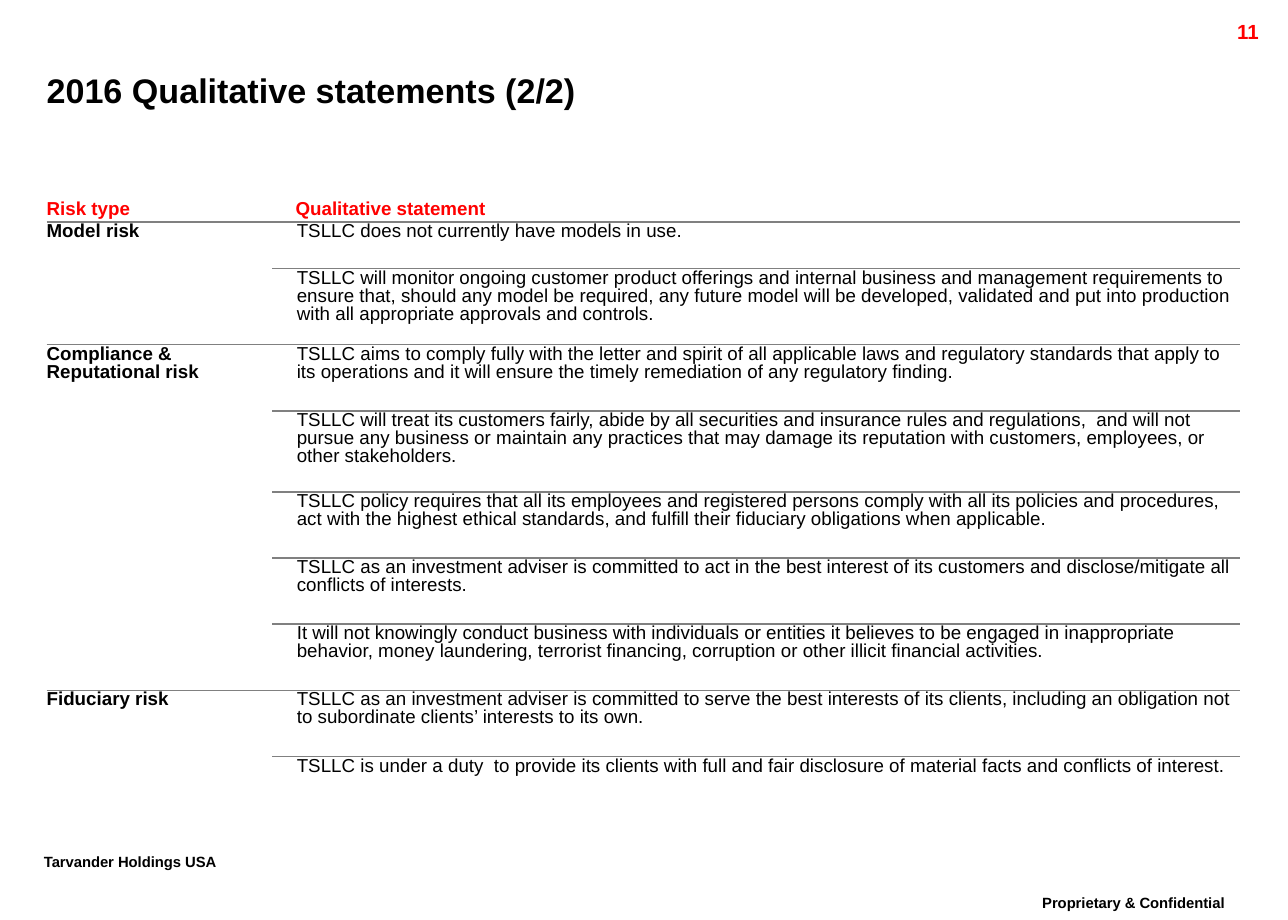
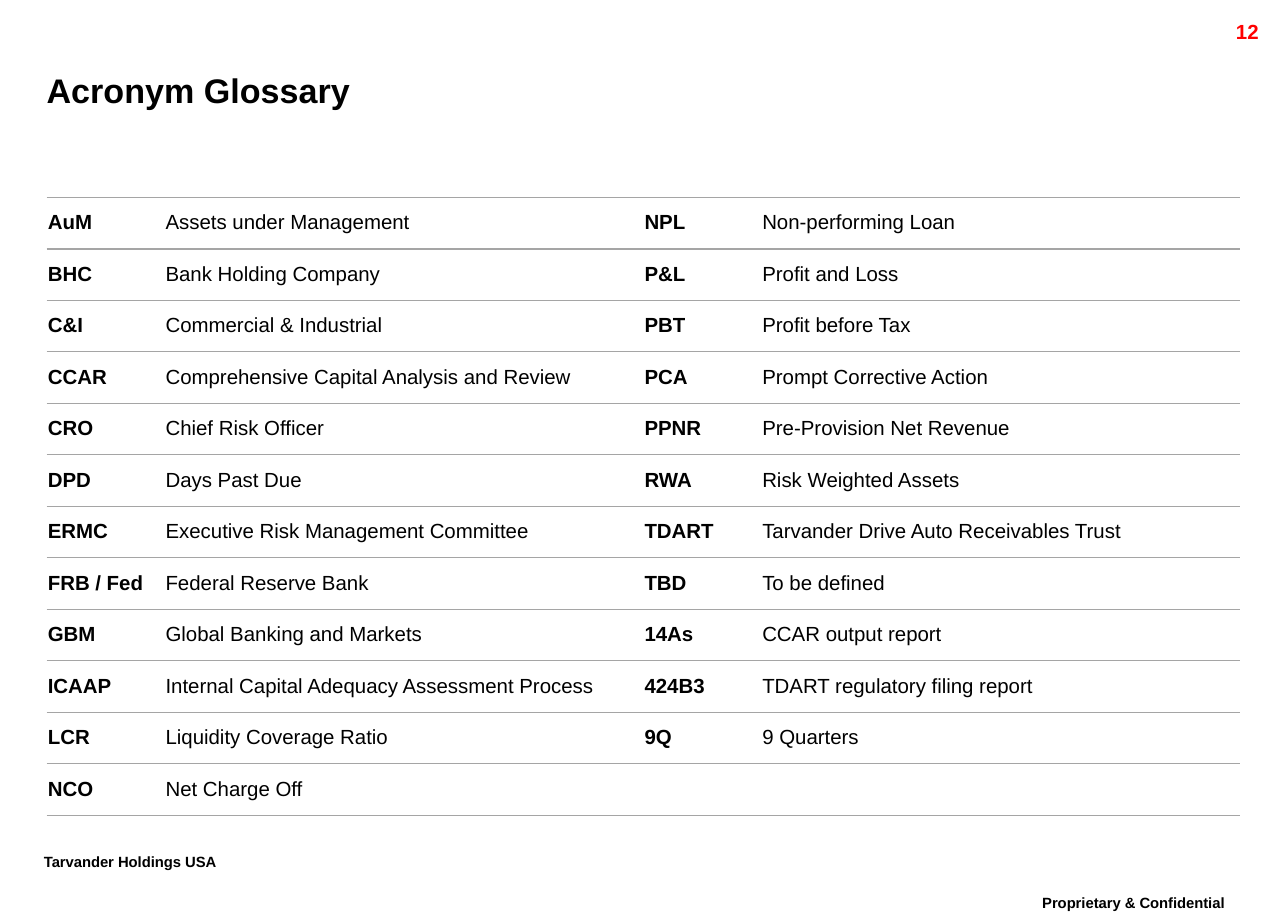
from lxml.etree import SubElement
from pptx import Presentation
from pptx.dml.color import RGBColor as RGB
from pptx.enum.text import MSO_ANCHOR as Anchor, PP_ALIGN as Align
from pptx.oxml import parse_xml
from pptx.oxml.ns import nsdecls, qn
from pptx.util import Inches, Pt

# Grid: 105 columns by 75 rows, each a tenth of an inch
UNIT = Inches(0.1)
COLS, ROWS = 105, 75
FONT = "Arial"
COLORS = {"text": "000000", "accent": "FF0000", "back": "FFFFFF",
          "rule": "808080", "thin": "A5A5A5"}
NO_STYLE = "{2D5ABB26-0587-4C30-8999-92F81FD0307C}"
LEADING = 0.86

# Boxes: left, top, width, height in grid units
TITLE = (3.8, 4.9, 94.8, 4.8)
NUMBER = (93.6, 1.1, 10, 2.4)
OWNER = (2.6, 69.1, 24, 3.5)
NOTICE = (81.5, 72.5, 21.8, 3.5)
TABLE = (3.8, 16.1, 97.3)

STATEMENTS = [
    ("Model risk", [
        (3.8, "TSLLC does not currently have models in use."),
        (6.2, "TSLLC will monitor ongoing customer product offerings and internal business and "
              "management requirements to ensure that, should any model be required, any future "
              "model will be developed, validated and put into production with all appropriate "
              "approvals and controls."),
    ]),
    ("Compliance & Reputational risk", [
        (5.4, "TSLLC aims to comply fully with the letter and spirit of all applicable laws and "
              "regulatory standards that apply to its operations and it will ensure the timely "
              "remediation of any regulatory finding."),
        (6.6, "TSLLC will treat its customers fairly, abide by all securities and insurance rules "
              "and regulations,  and will not pursue any business or maintain any practices that "
              "may damage its reputation with customers, employees, or other stakeholders."),
        (5.4, "TSLLC policy requires that all its employees and registered persons comply with all "
              "its policies and procedures, act with the highest ethical standards, and fulfill "
              "their fiduciary obligations when applicable."),
        (5.4, "TSLLC as an investment adviser is committed to act in the best interest of its "
              "customers and disclose/mitigate all conflicts of interests."),
        (5.4, "It will not knowingly conduct business with individuals or entities it believes to "
              "be engaged in inappropriate behavior, money laundering, terrorist financing, "
              "corruption or other illicit financial activities."),
    ]),
    ("Fiduciary risk", [
        (5.4, "TSLLC as an investment adviser is committed to serve the best interests of its "
              "clients, including an obligation not to subordinate clients’ interests to its own."),
        (5.4, "TSLLC is under a duty  to provide its clients with full and fair disclosure of "
              "material facts and conflicts of interest."),
    ]),
]

GLOSSARY = [
    ("AuM", "Assets under Management", "NPL", "Non-performing Loan"),
    ("BHC", "Bank Holding Company", "P&L", "Profit and Loss"),
    ("C&I", "Commercial & Industrial", "PBT", "Profit before Tax"),
    ("CCAR", "Comprehensive Capital Analysis and Review", "PCA", "Prompt Corrective Action"),
    ("CRO", "Chief Risk Officer", "PPNR", "Pre-Provision Net Revenue"),
    ("DPD", "Days Past Due", "RWA", "Risk Weighted Assets"),
    ("ERMC", "Executive Risk Management Committee",
     "TDART", "Tarvander Drive Auto Receivables Trust"),
    ("FRB / Fed", "Federal Reserve Bank", "TBD", "To be defined"),
    ("GBM", "Global Banking and Markets", "14As", "CCAR output report"),
    ("ICAAP", "Internal Capital Adequacy Assessment Process",
     "424B3", "TDART regulatory filing report"),
    ("LCR", "Liquidity Coverage Ratio", "9Q", "9 Quarters"),
    ("NCO", "Net Charge Off", "", ""),
]


def units(n):
    return round(n * UNIT)


def style(frame, text, size, color="text", bold=True, align=Align.LEFT, leading=None):
    """Fill a text frame with one paragraph in the house font."""
    frame.text = text
    frame.word_wrap = True
    para = frame.paragraphs[0]
    para.alignment = align
    if leading:
        para.line_spacing = leading
    font = para.runs[0].font if para.runs else para.font
    font.name, font.size, font.bold = FONT, Pt(size), bold
    font.color.rgb = RGB.from_string(COLORS[color])
    return para


def label(slide, box, text, size, **look):
    frame = slide.shapes.add_textbox(*map(units, box)).text_frame
    return frame, style(frame, text, size, **look)


def footer(slide, box, text, align):
    """Small raised line of text."""
    _, para = label(slide, box, text, 15, align=align, leading=LEADING)
    para.runs[0]._r.get_or_add_rPr().set("baseline", "30000")


def page(deck, title, number):
    """Blank slide with the shared title, page number and footers."""
    slide = deck.slides.add_slide(deck.slide_layouts[6])
    fill = slide.background.fill
    fill.solid()
    fill.fore_color.rgb = RGB.from_string(COLORS["back"])
    footer(slide, NOTICE, "Proprietary & Confidential", Align.CENTER)
    footer(slide, OWNER, "Tarvander Holdings USA", Align.LEFT)
    label(slide, NUMBER, str(number), 12, color="accent", align=Align.RIGHT)
    frame, _ = label(slide, TITLE, title, 20)
    frame.margin_left = frame.margin_right = frame.margin_top = frame.margin_bottom = 0
    frame.vertical_anchor = Anchor.MIDDLE
    return slide


def grid(slide, box, widths, heights):
    """Plain table whose columns and rows are given in grid units."""
    left, top, width = box
    shape = slide.shapes.add_table(len(heights), len(widths), units(left), units(top),
                                   units(width), units(sum(heights)))
    table = shape.table
    table.first_row = table.horz_banding = False
    table._tbl.tblPr.find(qn("a:tableStyleId")).text = NO_STYLE
    for col, size in zip(table.columns, widths):
        col.width = units(size)
    for row, size in zip(table.rows, heights):
        row.height = units(size)
    return table


def write(cell, text, size, indent, anchor=Anchor.TOP, **look):
    cell.margin_left, cell.margin_bottom = units(indent), 0
    cell.margin_right = cell.margin_top = units(0.1)
    cell.vertical_anchor = anchor
    cell.fill.background()
    style(cell.text_frame, text, size, leading=LEADING, **look)


def rule(cell, side, color, width):
    """Draw one border of a cell; borders come before the fill."""
    line = parse_xml(f'<a:ln{side} {nsdecls("a")} w="{Pt(width)}"/>')
    SubElement(SubElement(line, qn("a:solidFill")), qn("a:srgbClr"), val=COLORS[color])
    cell._tc.get_or_add_tcPr().insert(0, line)


def risks(slide, box):
    """Risk types on the left, each merged beside its statements."""
    heights = [2] + [size for _, lines in STATEMENTS for size, _ in lines]
    table = grid(slide, box, (18.4, box[2] - 18.4), heights)
    for col, (head, indent) in enumerate((("Risk type", 0), ("Qualitative statement", 1.9))):
        cell = table.cell(0, col)
        write(cell, head, 11, indent, Anchor.MIDDLE, color="accent")
        rule(cell, "B", "rule", 1)
    row = 1
    for kind, lines in STATEMENTS:
        first = table.cell(row, 0)
        first.merge(table.cell(row + len(lines) - 1, 0))
        write(first, kind, 11, 0)
        rule(first, "T", "rule", 1)
        for _, text in lines:
            cell = table.cell(row, 1)
            write(cell, text, 11, 2, bold=False)
            rule(cell, "T", "rule", 1)
            row += 1


def terms(slide, box):
    """Two pairs of acronym and meaning in each row."""
    pair = (9.6, box[2] / 2 - 9.6)
    table = grid(slide, box, pair * 2, [4.2] * len(GLOSSARY))
    for row, words in enumerate(GLOSSARY):
        for col, word in enumerate(words):
            cell = table.cell(row, col)
            write(cell, word, 12, 0.1, Anchor.MIDDLE, bold=col % 2 == 0)
            rule(cell, "B", "thin", 0.75)
            rule(cell, "T", "thin", 0.75)


def main():
    deck = Presentation()
    deck.slide_width, deck.slide_height = units(COLS), units(ROWS)
    risks(page(deck, "2016 Qualitative statements (2/2)", 11), TABLE)
    terms(page(deck, "Acronym Glossary", 12), TABLE)
    deck.save("out.pptx")


if __name__ == "__main__":
    main()
